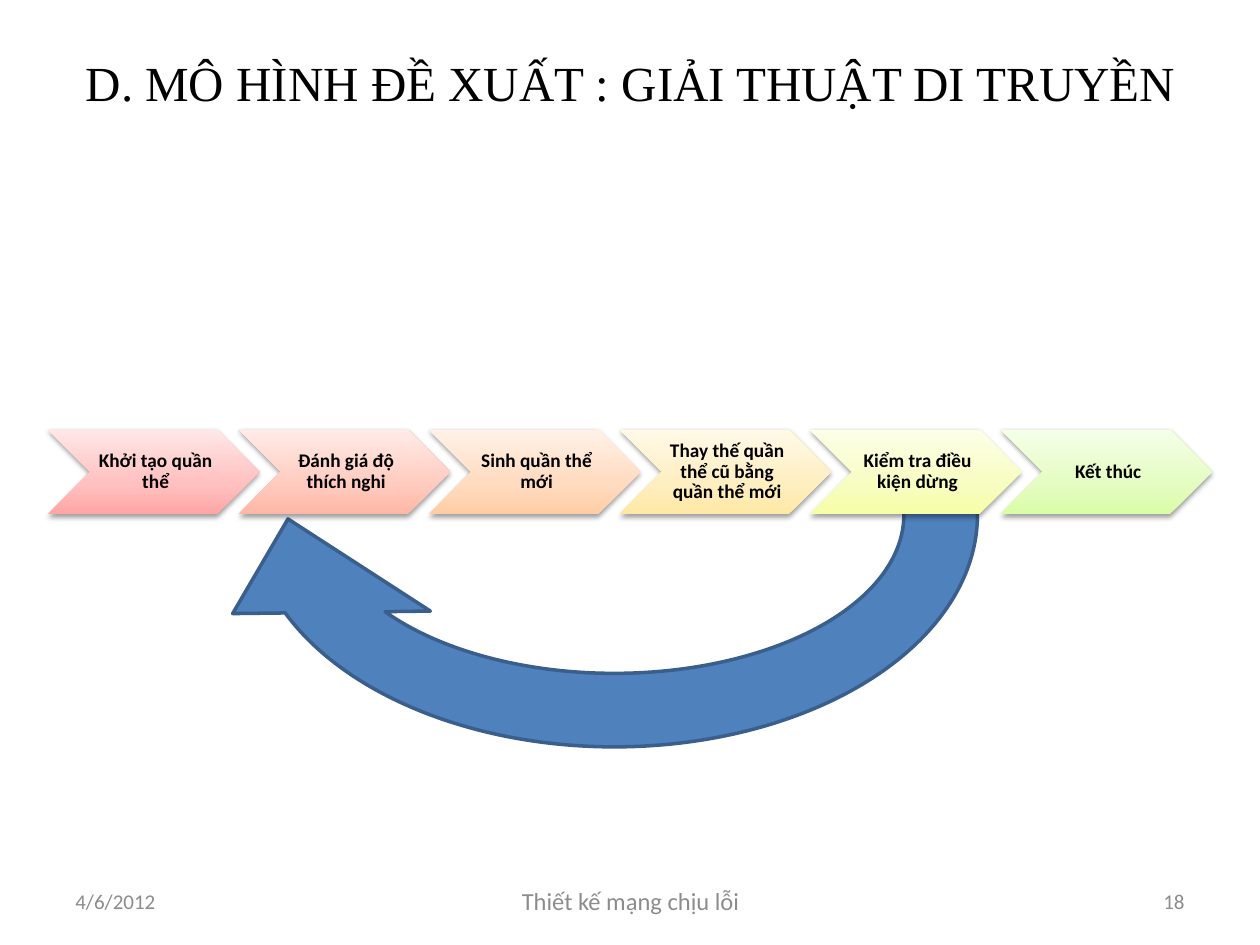
from lxml.etree import SubElement
from pptx import Presentation
from pptx.dml.color import RGBColor
from pptx.enum.shapes import MSO_SHAPE as Shape
from pptx.enum.text import MSO_ANCHOR as Anchor, PP_ALIGN as Align
from pptx.oxml.ns import qn
from pptx.util import Inches, Pt

# Content
TITLE = "D. MÔ HÌNH ĐỀ XUẤT : GIẢI THUẬT DI TRUYỀN"
# Step text, then gradient colours from bottom to top
STEPS = [
    ("Khởi tạo quần thể", ("FFA6A5", "FFC0BF", "FFE7E7")),
    ("Đánh giá độ thích nghi", ("FFB7A5", "FFCBBF", "FFEBE7")),
    ("Sinh quần thể mới", ("FFCDA5", "FFDBBF", "FFF1E7")),
    ("Thay thế quần thể cũ bằng quần thể mới", ("FFE8A5", "FEEEC0", "FFF9E7")),
    ("Kiểm tra điều kiện dừng", ("F6FEA6", "F7FDC1", "FDFFE7")),
    ("Kết thúc", ("DAFDA7", "E4FCC2", "F5FFE7")),
]
# Text, left, width, size key, alignment
FOOTERS = [
    ("4/6/2012", 0.5, 2.33, "small", Align.LEFT),
    ("Thiết kế mạng chịu lỗi", 3.42, 3.17, "footer", Align.CENTER),
    ("18", 7.17, 2.33, "small", Align.RIGHT),
]

THEME = {
    "title_font": "Times New Roman", "font": "Calibri",
    "text": "000000", "muted": "8C8C8C",
    "arrow": "4F81BD", "arrow_line": "3A5F8C", "shadow": "000000",
    "size": {"title": 28, "footer": 14, "small": 12, "step": 11},
}

# Layout in inches
STEP_LEFT, STEP_TOP, STEP_PITCH = 0.38, 3.41, 1.512
STEP_WIDTH, STEP_HEIGHT = 1.68, 0.67
LABEL_INDENT, LABEL_WIDTH = STEP_HEIGHT / 2, 1.01
GRADIENT_POSITIONS = (0, 35, 100)


def write(shape, text, size, color, align, font=THEME["font"], bold=False):
    frame = shape.text_frame
    frame.text = text
    frame.word_wrap = True
    frame.vertical_anchor = Anchor.MIDDLE
    paragraph = frame.paragraphs[0]
    paragraph.alignment = align
    style = paragraph.runs[0].font
    style.name, style.size, style.bold = font, Pt(THEME["size"][size]), bold
    style.color.rgb = RGBColor.from_string(THEME[color])
    return frame


def add_box(slide, left, top, width, height):
    return slide.shapes.add_textbox(*map(Inches, (left, top, width, height)))


def fill_gradient(shape, colors):
    shape.fill.gradient()
    shape.fill.gradient_angle = 90
    stops = shape.element.spPr.find(qn("a:gradFill")).find(qn("a:gsLst"))
    for stop in list(stops):
        stops.remove(stop)
    for position, color in zip(GRADIENT_POSITIONS, colors):
        stop = SubElement(stops, qn("a:gs"), pos=str(position * 1000))
        SubElement(stop, qn("a:srgbClr"), val=color)


def add_shadow(shape):
    shape.shadow.inherit = False
    effects = shape.element.spPr.find(qn("a:effectLst"))
    shadow = SubElement(effects, qn("a:outerShdw"), blurRad=str(Pt(3.1)),
                        dist=str(Pt(1.6)), dir="5400000", rotWithShape="0")
    color = SubElement(shadow, qn("a:srgbClr"), val=THEME["shadow"])
    SubElement(color, qn("a:alpha"), val="38000")


def add_return_arrow(slide):
    arrow = slide.shapes.add_shape(
        Shape.CIRCULAR_ARROW, *map(Inches, (1.5, 1.75, 6.75, 4.67)))
    arrow.rotation = 180
    for index, value in enumerate((0.125, 10.984, 204.577, 107.607, 0.168)):
        arrow.adjustments[index] = value
    arrow.shadow.inherit = False
    arrow.fill.solid()
    arrow.fill.fore_color.rgb = RGBColor.from_string(THEME["arrow"])
    arrow.line.color.rgb = RGBColor.from_string(THEME["arrow_line"])
    arrow.line.width = Pt(2)


def add_step(slide, index, text, colors):
    left = STEP_LEFT + index * STEP_PITCH
    chevron = slide.shapes.add_shape(
        Shape.CHEVRON, *map(Inches, (left, STEP_TOP, STEP_WIDTH, STEP_HEIGHT)))
    fill_gradient(chevron, colors)
    chevron.line.fill.background()
    add_shadow(chevron)

    label = add_box(slide, left + LABEL_INDENT, STEP_TOP, LABEL_WIDTH, STEP_HEIGHT)
    frame = write(label, text, "step", "text", Align.CENTER, bold=True)
    frame.margin_left = Inches(0.05)
    frame.margin_top = frame.margin_right = frame.margin_bottom = Inches(0.02)
    frame.paragraphs[0].line_spacing = 0.9


def main():
    presentation = Presentation()
    presentation.slide_width, presentation.slide_height = Inches(10), Inches(7.5)
    slide = presentation.slides.add_slide(presentation.slide_layouts[5])

    # Title
    title = slide.shapes.title
    title.left, title.top, title.width, title.height = map(
        Inches, (0.58, 0.3, 8.92, 0.7))
    write(title, TITLE, "title", "text", Align.LEFT, THEME["title_font"])

    # Footer line
    for text, left, width, size, align in FOOTERS:
        write(add_box(slide, left, 6.95, width, 0.4), text, size, "muted", align)

    # Loop arrow behind the process steps
    add_return_arrow(slide)
    for index, (text, colors) in enumerate(STEPS):
        add_step(slide, index, text, colors)

    presentation.save("out.pptx")


if __name__ == "__main__":
    main()
